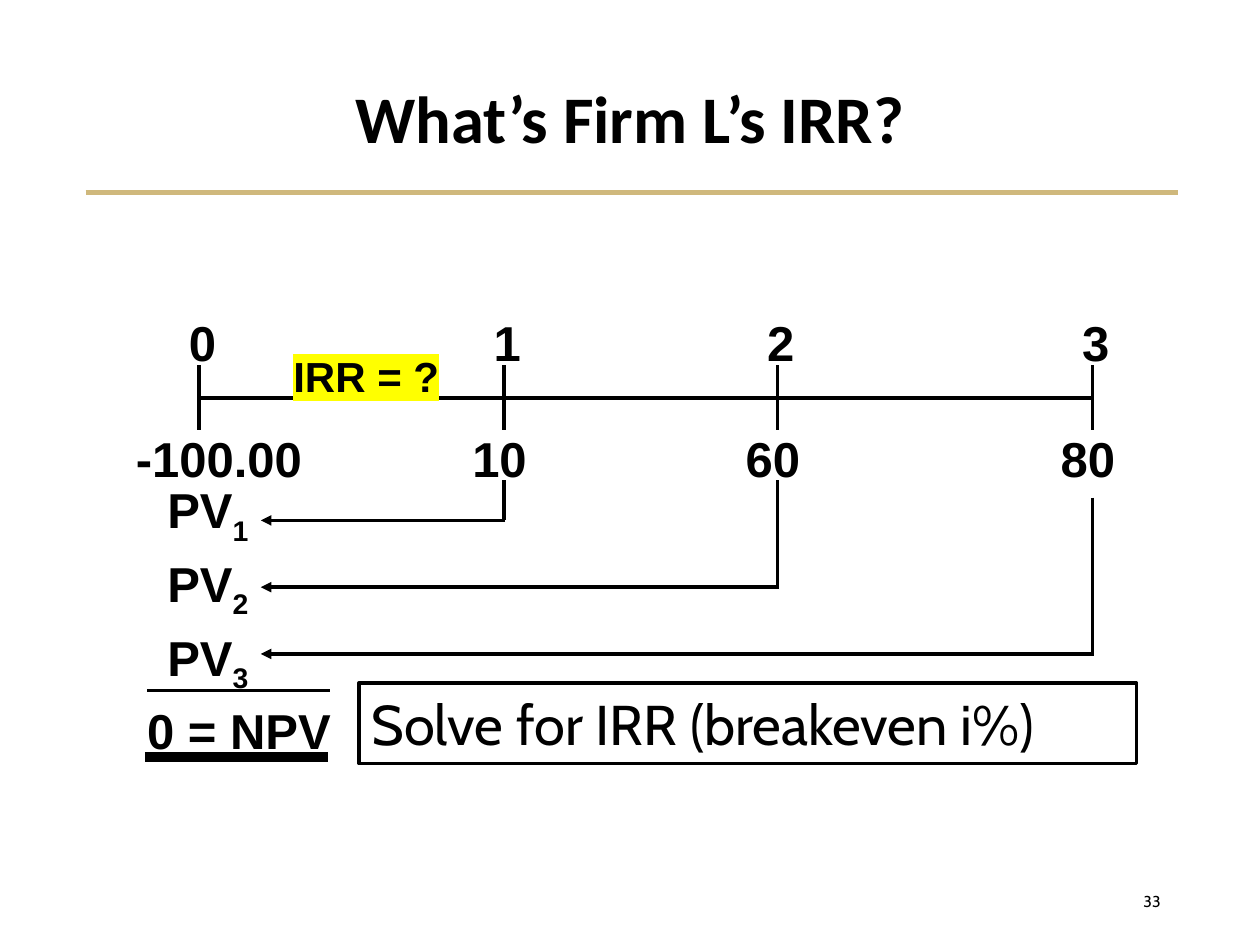
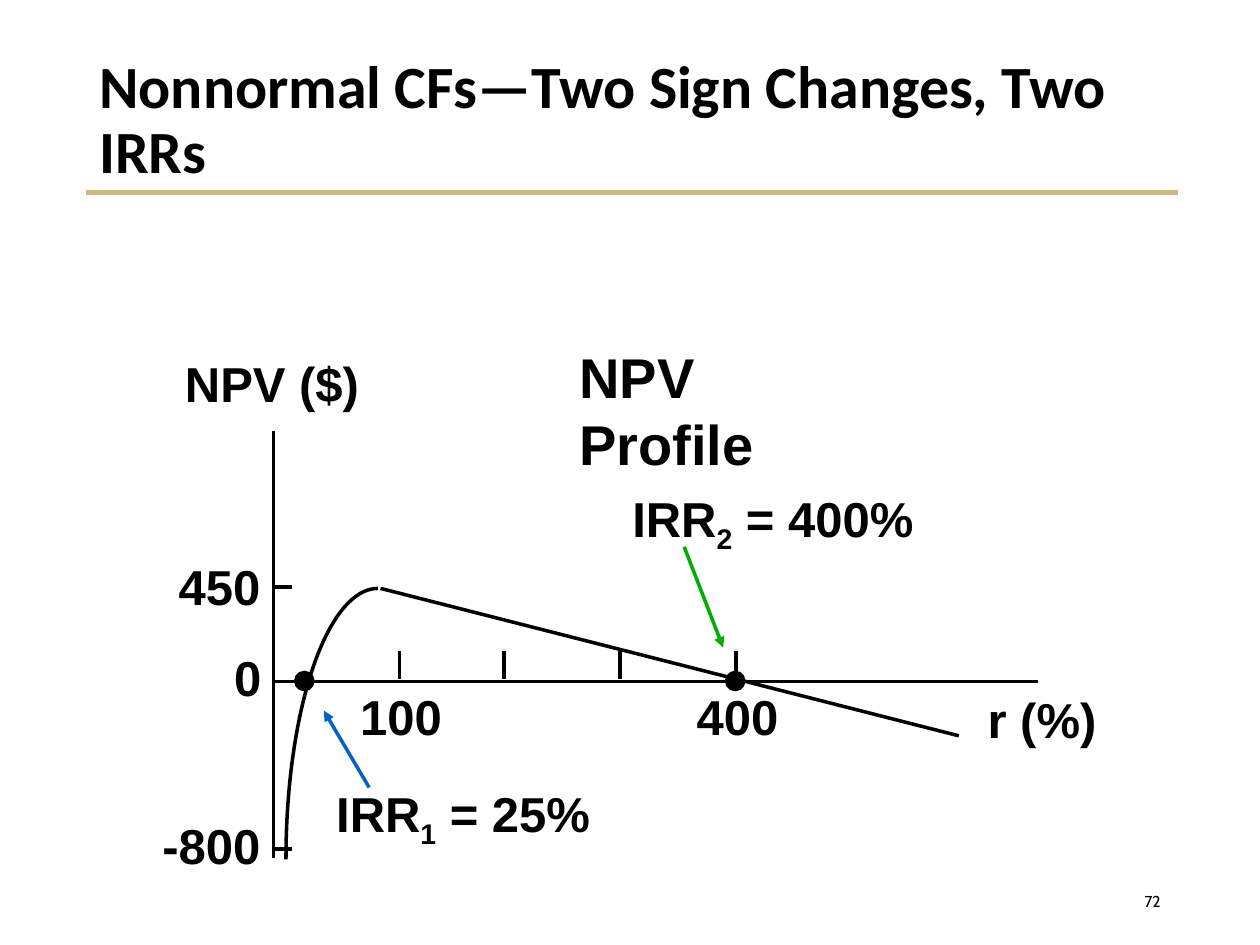
from math import cos, pi, sin

from pptx import Presentation
from pptx.dml.color import RGBColor
from pptx.enum.shapes import MSO_CONNECTOR, MSO_SHAPE
from pptx.enum.text import MSO_ANCHOR as ANCHOR, PP_ALIGN as ALIGN
from pptx.oxml import parse_xml
from pptx.oxml.ns import nsdecls, qn
from pptx.util import Inches, Pt

BLACK, GOLD, YELLOW = "000000", "CFB87C", "FFFF00"
GREEN, BLUE = "00AE00", "0563C1"
BODY_FONT, TITLE_FONT, PLAIN_FONT = "Arial", "Calibri", "Cabin"


def rgb(value):
    return RGBColor.from_string(value)


def element(tag, **attributes):
    node = parse_xml(f"<a:{tag} {nsdecls('a')}/>")
    for key, value in attributes.items():
        node.set(key, value)
    return node


def write(shape, text, size=28, font=BODY_FONT, bold=True, align=ALIGN.LEFT,
          anchor=ANCHOR.TOP, wrap=False, spacing=None, highlight=None):
    """Fill a shape with text; the character after each "_" is a subscript."""
    frame = shape.text_frame
    frame.word_wrap = wrap
    frame.vertical_anchor = anchor
    paragraph = frame.paragraphs[0]
    paragraph.alignment = align
    if spacing:
        paragraph.line_spacing = spacing
    first, *others = text.split("_")
    pieces = [(first, False)]
    for other in others:
        pieces += [(other[0], True), (other[1:], False)]
    for piece, subscript in pieces:
        if not piece:
            continue
        run = paragraph.add_run()
        run.text = piece
        run.font.size = Pt(size)
        run.font.bold = bold
        run.font.color.rgb = rgb(BLACK)
        run.font.name = font
        properties = run._r.get_or_add_rPr()
        if subscript:
            properties.set("baseline", "-25000")
        if highlight:
            mark = element("highlight")
            mark.append(element("srgbClr", val=highlight))
            properties.find(qn("a:latin")).addprevious(mark)


def label(slide, text, left, top, width, height=0.56, **style):
    box = slide.shapes.add_textbox(Inches(left), Inches(top), Inches(width), Inches(height))
    write(box, text, **style)


def line(slide, x1, y1, x2, y2, color=BLACK, width=2, arrow=False):
    connector = slide.shapes.add_connector(
        MSO_CONNECTOR.STRAIGHT, Inches(x1), Inches(y1), Inches(x2), Inches(y2))
    connector.line.color.rgb = rgb(color)
    connector.line.width = Pt(width)
    if arrow:
        connector.line._get_or_add_ln().append(element("tailEnd", type="triangle"))
    connector._element.spPr.append(element("effectLst"))


def outline(shape, width=2, fill=None):
    shape.shadow.inherit = False
    shape.line.color.rgb = rgb(BLACK)
    shape.line.width = Pt(width)
    if fill:
        shape.fill.solid()
        shape.fill.fore_color.rgb = rgb(fill)
    else:
        shape.fill.background()


def new_slide(prs, title, number, size, align):
    """Add a slide with the shared rule, title and page number."""
    slide = prs.slides.add_slide(prs.slide_layouts[6])
    line(slide, 0.68, 1.53, 9.35, 1.53, color=GOLD, width=3)
    label(slide, title, 0.69, 0.4, 8.62, 1.13, size=size, font=TITLE_FONT,
          align=align, anchor=ANCHOR.MIDDLE, wrap=True, spacing=0.9)
    label(slide, number, 7.06, 6.95, 2.25, 0.4, size=9, font=PLAIN_FONT, bold=False,
          align=ALIGN.RIGHT, anchor=ANCHOR.MIDDLE, wrap=True)
    return slide


def timeline(slide, left, top, periods, flows):
    axis = top + 0.73
    line(slide, left, axis, left + periods[-1], axis)
    for period, (offset, flow) in enumerate(zip(periods, flows)):
        x = left + offset
        line(slide, x, axis - 0.26, x, axis + 0.25)
        label(slide, str(period), x - 0.18, top, 0.41)
        shift, width = (0.35, 0.63) if period else (0.6, 1.52)
        label(slide, flow, x - shift, top + 0.92, width)
    label(slide, "IRR = ?", left + 0.65, top + 0.3, 1.37, 0.5, size=24, highlight=YELLOW)


def discounting(slide, left, top, periods):
    """Lead each later cash flow back to its present value, then sum them."""
    starts = (0.05, 0.05, 0.19)
    for i, (offset, start) in enumerate(zip(periods[1:], starts)):
        x, y = left + offset, top + 0.37 + 0.53 * i
        line(slide, x, top + start, x, y)
        line(slide, x + 0.01, y, left + 0.49, y, arrow=True)
        label(slide, f"PV_{i + 1}", left - 0.35, top + 0.585 * i, 0.86)
    line(slide, left - 0.41, top + 1.72, left + 1.04, top + 1.72)
    label(slide, "0 = NPV", left - 0.51, top + 1.75, 1.66)
    solve = slide.shapes.add_shape(MSO_SHAPE.RECTANGLE, Inches(left + 1.27),
                                   Inches(top + 1.66), Inches(6.17), Inches(0.64))
    outline(solve)
    write(solve, "Solve for IRR (breakeven i%)", size=32, font=PLAIN_FONT,
          bold=False, wrap=True)
    line(slide, left - 0.43, top + 2.25, left + 1.02, top + 2.25, width=6)


def axes(slide, left, top, zero):
    line(slide, left, top, left, top + 3.39)
    line(slide, left, zero, left + 6.07, zero)
    for offset in (-0.75, 1.33):
        line(slide, left, zero + offset, left + 0.15, zero + offset)
    for offset in (1, 1.83, 2.75, 3.67):
        line(slide, left + offset, zero - 0.24, left + offset, zero - 0.02)
    for text, offset, width in (("450", -1.04, 0.85), ("0", -0.32, 0.41), ("-800", 1.01, 0.98)):
        label(slide, text, left - width, zero + offset, width)
    for text, offset in (("100", 0.59), ("400", 3.26)):
        label(slide, text, left + offset, zero - 0.01, 0.85)
    label(slide, "NPV ($)", left - 0.8, top - 0.66, 1.6)
    label(slide, "r (%)", left + 5.57, zero + 0.01, 1.07)


def profile_curve(slide, left, zero):
    """Draw the rising quarter ellipse and the straight decline after it."""
    center_x, base, radius_x, radius_y, steps = left + 0.83, zero + 1.41, 0.73, 2.15, 40
    points = [(Inches(center_x - radius_x * cos(pi / 2 * i / steps)),
               Inches(base - radius_y * sin(pi / 2 * i / steps)))
              for i in range(steps + 1)]
    builder = slide.shapes.build_freeform(*points[0])
    builder.add_line_segments(points[1:], close=False)
    outline(builder.convert_to_shape())
    line(slide, left + 0.85, zero - 0.74, left + 5.44, zero + 0.43)
    for offset in (0.17, 3.59):
        root = slide.shapes.add_shape(MSO_SHAPE.OVAL, Inches(left + offset),
                                      Inches(zero - 0.08), Inches(0.15), Inches(0.15))
        outline(root, width=1, fill=BLACK)


def npv_profile(slide, left, top):
    zero = top + 1.99
    axes(slide, left, top, zero)
    profile_curve(slide, left, zero)
    label(slide, "NPV Profile", left + 2.33, top - 0.75, 2.4, 1.1, size=32, wrap=True)
    label(slide, "IRR_2 = 400%", left + 2.75, top + 0.41, 2.45)
    line(slide, left + 3.26, top + 0.92, left + 3.57, zero - 0.27, color=GREEN, arrow=True)
    label(slide, "IRR_1 = 25%", left + 0.4, zero + 0.76, 2.24)
    line(slide, left + 0.76, zero + 0.84, left + 0.4, zero + 0.23, color=BLUE, arrow=True)


def main():
    prs = Presentation()
    prs.slide_width, prs.slide_height = Inches(10), Inches(7.5)

    periods = (0, 2.42, 4.59, 7.09)
    firm = new_slide(prs, "What’s Firm L’s IRR?", "33", 38, ALIGN.CENTER)
    timeline(firm, 1.58, 2.43, periods, ("-100.00", "10", "60", "80"))
    discounting(firm, 1.58, 3.76, periods)

    nonnormal = new_slide(prs, "Nonnormal CFs—Two Sign Changes, Two IRRs", "72", 34.2, ALIGN.LEFT)
    npv_profile(nonnormal, 2.17, 3.42)
    prs.save("out.pptx")


if __name__ == "__main__":
    main()
